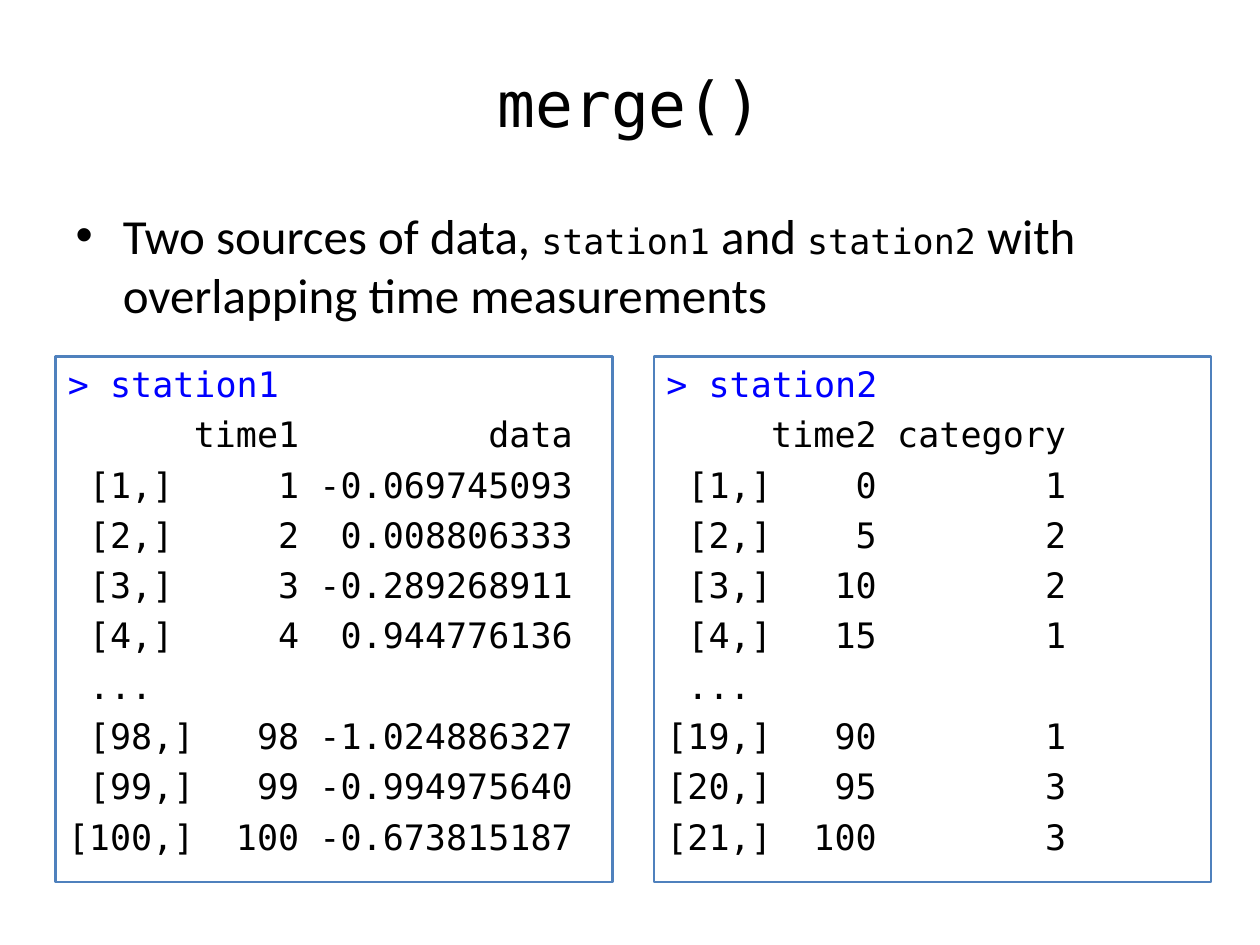
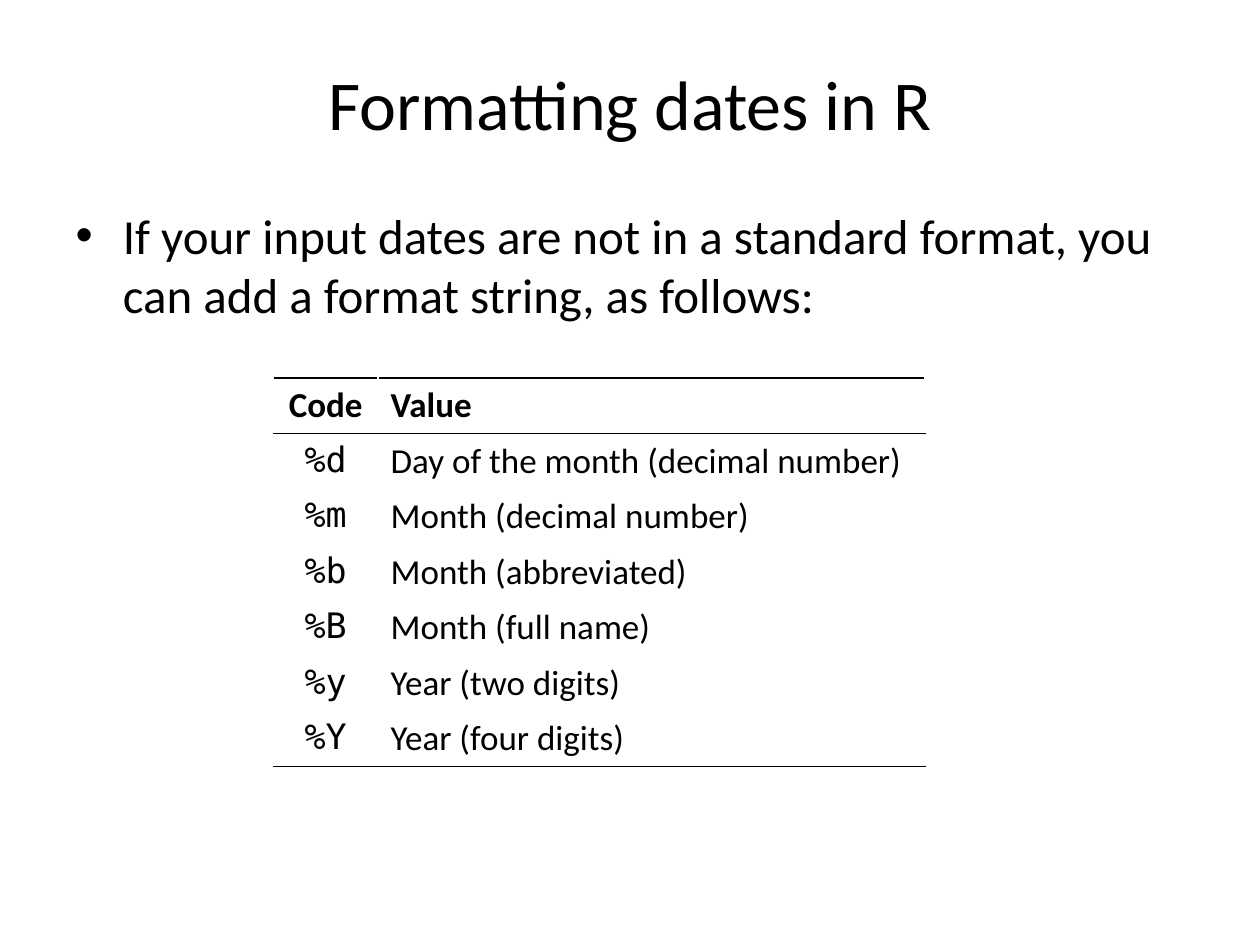
"""Build two slides on merging data and formatting dates in R."""
from lxml.etree import SubElement
from pptx import Presentation
from pptx.dml.color import RGBColor
from pptx.enum.shapes import MSO_SHAPE
from pptx.enum.text import MSO_ANCHOR, MSO_AUTO_SIZE, PP_ALIGN
from pptx.oxml.ns import qn
from pptx.util import Inches, Pt

SANS, MONO = "Calibri", "DejaVu Sans Mono"
BLACK, WHITE, BLUE, FRAME = "000000", "FFFFFF", "0000FF", "4F81BD"
CODE_SIZE = 20
CHARACTER_WIDTH = 0.167

STATION1 = [
    "> station1",
    "\ttime1\tdata",
    " [1,]\t1\t-0.069745093",
    " [2,]\t2\t0.008806333",
    " [3,]\t3\t-0.289268911",
    " [4,]\t4\t0.944776136",
    " ...",
    " [98,]\t98\t-1.024886327",
    " [99,]\t99\t-0.994975640",
    "[100,]\t100\t-0.673815187",
]
STATION2 = [
    "> station2",
    "\ttime2\tcategory",
    " [1,]\t0\t1",
    " [2,]\t5\t2",
    " [3,]\t10\t2",
    " [4,]\t15\t1",
    " ...",
    "[19,]\t90\t1",
    "[20,]\t95\t3",
    "[21,]\t100\t3",
]
DATE_CODES = [
    ("Code", "Value"),
    ("%d", "Day of the month (decimal number)"),
    ("%m", "Month (decimal number)"),
    ("%b", "Month (abbreviated)"),
    ("%B", "Month (full name)"),
    ("%y", "Year (two digits)"),
    ("%Y", "Year (four digits)"),
]


def color(value):
    return RGBColor.from_string(value)


def style_font(font, name, size, value=BLACK, bold=False):
    font.name, font.size, font.bold = name, Pt(size), bold
    font.color.rgb = color(value)


def place(shape, left, top, width, height):
    shape.left, shape.top = Inches(left), Inches(top)
    shape.width, shape.height = Inches(width), Inches(height)


def add_slide(presentation, title, title_font, title_size, body_runs, body_height):
    """Add a slide with a title and one bullet made of (text, is_code) runs."""
    slide = presentation.slides.add_slide(presentation.slide_layouts[1])
    heading, body = slide.shapes.title, slide.placeholders[1]
    place(heading, 0.5, 0.3, 9, 1.03)
    heading.text_frame.text = title
    heading.text_frame.vertical_anchor = MSO_ANCHOR.MIDDLE
    style_font(heading.text_frame.paragraphs[0].font, title_font, title_size)

    place(body, 0.5, 1.58, 9, body_height)
    body.text_frame.auto_size = MSO_AUTO_SIZE.NONE
    paragraph = body.text_frame.paragraphs[0]
    for text, is_code in body_runs:
        run = paragraph.add_run()
        run.text = text
        style_font(run.font, MONO if is_code else SANS, CODE_SIZE if is_code else 28)
    return slide


def set_right_tabs(paragraph, columns):
    """Add right-aligned tab stops that end at the given character columns."""
    tab_list = SubElement(paragraph._p.get_or_add_pPr(), qn("a:tabLst"))
    for column in columns:
        position = Inches(column * CHARACTER_WIDTH)
        SubElement(tab_list, qn("a:tab"), pos=str(position), algn="r")


def add_console(slide, left, lines, columns):
    """Add a framed console listing whose first line is the command."""
    box = slide.shapes.add_shape(
        MSO_SHAPE.RECTANGLE, Inches(left), Inches(2.83), Inches(4.42), Inches(4.17))
    box.shadow.inherit = False
    box.fill.background()
    box.line.color.rgb = color(FRAME)
    box.line.width = Pt(1.5)
    frame = box.text_frame
    frame.word_wrap = True
    frame.vertical_anchor = MSO_ANCHOR.TOP
    for index, line in enumerate(lines):
        paragraph = frame.add_paragraph() if index else frame.paragraphs[0]
        paragraph.add_run().text = line
        paragraph.alignment = PP_ALIGN.LEFT
        paragraph.space_before = Pt(4.7)
        set_right_tabs(paragraph, columns)
        style_font(paragraph.font, MONO, CODE_SIZE, BLACK if index else BLUE)


def set_borders(cell, top, bottom):
    """Draw one-point borders, white at the sides."""
    properties = cell._tc.get_or_add_tcPr()
    edges = {"lnL": WHITE, "lnR": WHITE, "lnT": top, "lnB": bottom}
    for edge, value in edges.items():
        line = SubElement(properties, qn(f"a:{edge}"), w=str(Pt(1)))
        fill = SubElement(line, qn("a:solidFill"))
        SubElement(fill, qn("a:srgbClr"), val=value)


def add_code_table(slide, rows):
    """Add a table ruled above and below its header and at its end."""
    row_height = 0.43
    table = slide.shapes.add_table(
        len(rows), 2, Inches(2.17), Inches(3), Inches(5.17),
        Inches(row_height * len(rows))).table
    table.first_row = table.horz_banding = False
    for column, width in zip(table.columns, (0.83, 4.34)):
        column.width = Inches(width)
    ruled_edges = {0, 1, len(rows)}
    for row, texts in enumerate(rows):
        top, bottom = (BLACK if edge in ruled_edges else WHITE for edge in (row, row + 1))
        for column, text in enumerate(texts):
            cell = table.cell(row, column)
            set_borders(cell, top, bottom)
            cell.fill.solid()
            cell.fill.fore_color.rgb = color(WHITE)
            cell.text = text
            paragraph = cell.text_frame.paragraphs[0]
            paragraph.alignment = PP_ALIGN.LEFT if column else PP_ALIGN.CENTER
            is_code = row > 0 and column == 0
            style_font(paragraph.font, MONO if is_code else SANS, CODE_SIZE, bold=row == 0)


def main():
    presentation = Presentation()
    presentation.slide_width, presentation.slide_height = Inches(10), Inches(7.5)

    merge_runs = [
        ("Two sources of data, ", False), ("station1", True), (" and ", False),
        ("station2", True), (" with overlapping time measurements", False)]
    merge_slide = add_slide(presentation, "merge()", MONO, 36, merge_runs, 1.17)
    add_console(merge_slide, 0.44, STATION1, (11, 24))
    add_console(merge_slide, 5.19, STATION2, (10, 19))

    date_runs = [("If your input dates are not in a standard format, "
                  "you can add a format string, as follows:", False)]
    date_slide = add_slide(presentation, "Formatting dates in R", SANS, 40, date_runs, 5.58)
    add_code_table(date_slide, DATE_CODES)

    presentation.save("out.pptx")


if __name__ == "__main__":
    main()
